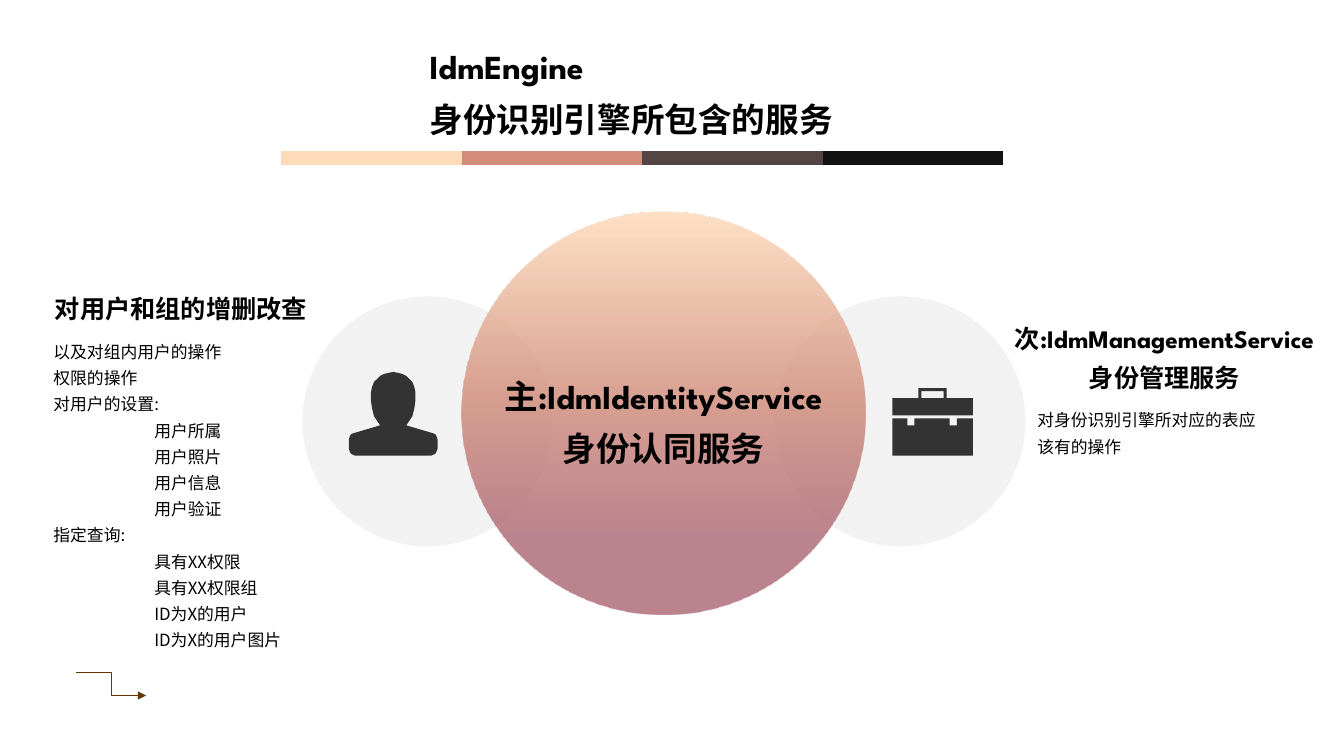
from dataclasses import dataclass
from typing import NamedTuple

from lxml.etree import SubElement
from pptx import Presentation
from pptx.dml.color import RGBColor
from pptx.enum.shapes import MSO_CONNECTOR, MSO_SHAPE
from pptx.enum.text import MSO_ANCHOR, MSO_AUTO_SIZE, PP_ALIGN
from pptx.oxml import parse_xml
from pptx.oxml.ns import nsdecls, qn
from pptx.util import Emu, Inches, Pt

PX = 9144  # 100 px to the inch
COLORS = {
    "text": "000000", "icon": "333333", "side": "F2F2F2", "arrow": "653607",
    "peach": "FDDAB8", "rose": "D28C79", "brown": "534544", "black": "121212",
    "plum": "AC6672",
}
HEADING_FONT = "League Spartan"
BODY_FONT = "Noto Sans CJK SC"


class Box(NamedTuple):
    left: int
    top: int
    width: int
    height: int

    def emu(self) -> list[Emu]:
        return [Emu(length * PX) for length in self]


@dataclass
class Caption:
    box: Box
    lines: list[str]
    size: int
    font: str = HEADING_FONT
    bold: bool = True
    align: PP_ALIGN = PP_ALIGN.CENTER
    wrap: bool = False


TITLE = Caption(Box(416, 29, 488, 110), ["IdmEngine", "身份识别引擎所包含的服务"], 24,
                align=PP_ALIGN.LEFT, wrap=True)
# Lines that start with "-" are indented items.
OPERATIONS = Caption(
    Box(43, 328, 279, 325),
    ["以及对组内用户的操作", "权限的操作", "对用户的设置:",
     "-用户所属", "-用户照片", "-用户信息", "-用户验证", "指定查询:",
     "-具有XX权限", "-具有XX权限组", "-ID为X的用户", "-ID为X的用户图片"],
    12, BODY_FONT, False, PP_ALIGN.LEFT, True)
CAPTIONS = [
    Caption(Box(474, 356, 368, 115), ["主:IdmIdentityService", "身份认同服务"], 24),
    Caption(Box(43, 277, 273, 49), ["对用户和组的增删改查"], 18),
    Caption(Box(1019, 396, 241, 63), ["对身份识别引擎所对应的表应该有的操作"], 12,
            BODY_FONT, False, PP_ALIGN.LEFT, True),
    Caption(Box(977, 307, 356, 89), ["次:IdmManagementService", "身份管理服务"], 18),
]
SIDE_CIRCLES = [Box(769, 294, 248, 248), Box(300, 294, 248, 248)]
MAIN_CIRCLE = Box(458, 210, 400, 400)
GRADIENT = [(0, "peach"), (45, "rose"), (80, "plum"), (100, "plum")]
BAR_LEFT, BAR_TOP, BAR_WIDTH = 279, 157, 179
BARS = ["peach", "rose", "brown", "black"]

# Right half of the user silhouette, as offsets from its axis.
USER_AXIS = 390
USER_HALF = [
    (0, 369), (5, 370), (9, 371), (13, 373), (16, 376), (19, 379), (21, 384), (22, 389),
    (22, 398), (21, 405), (19, 413), (15, 419), (13, 422), (40, 430), (42, 431),
    (43, 433), (44, 436), (44, 445), (43, 448), (42, 450), (40, 451), (38, 452),
]
CASE_LID = [
    [(939, 395), (939, 385), (911, 385), (911, 395), (885, 395), (885, 412),
     (965, 412), (965, 395)],
    [(936, 395), (914, 395), (914, 388), (936, 388)],
]
CASE_BODY = [
    [(949, 422), (942, 422), (942, 415), (907, 415), (907, 422), (900, 422),
     (900, 415), (885, 415), (885, 452), (965, 452), (965, 415), (949, 415)],
]


def rgb(color: str) -> RGBColor:
    return RGBColor.from_string(COLORS[color])


def paint(shape, color: str) -> None:
    shape.shadow.inherit = False
    shape.fill.solid()
    shape.fill.fore_color.rgb = rgb(color)
    shape.line.fill.background()


def write(shape, caption: Caption) -> None:
    shape.left, shape.top, shape.width, shape.height = caption.box.emu()
    frame = shape.text_frame
    frame.word_wrap = caption.wrap
    frame.auto_size = MSO_AUTO_SIZE.NONE
    frame.vertical_anchor = MSO_ANCHOR.TOP
    for index, line in enumerate(caption.lines):
        paragraph = frame.add_paragraph() if index else frame.paragraphs[0]
        paragraph.text = line.removeprefix("-")
        paragraph.alignment = caption.align
        paragraph.line_spacing = 1.3
        paragraph.space_before = Pt(0)
        font = paragraph.font
        font.name, font.size, font.bold = caption.font, Pt(caption.size), caption.bold
        font.color.rgb = rgb("text")


def indent_items(shape, lines: list[str]) -> None:
    for paragraph, line in zip(shape.text_frame.paragraphs, lines):
        properties = paragraph._p.get_or_add_pPr()
        properties.set("marL", str(Inches(1) if line.startswith("-") else 0))
        properties.set("indent", "0")
        bullet = SubElement(properties, qn("a:buNone"))
        properties.find(qn("a:defRPr")).addprevious(bullet)


def add_circle(shapes, box: Box, color: str):
    circle = shapes.add_shape(MSO_SHAPE.OVAL, *box.emu())
    paint(circle, color)
    return circle


def fill_gradient(shape) -> None:
    stops = "".join(
        f'<a:gs pos="{position * 1000}"><a:srgbClr val="{COLORS[color]}">'
        '<a:alpha val="80000"/></a:srgbClr></a:gs>'
        for position, color in GRADIENT)
    gradient = parse_xml(f'<a:gradFill {nsdecls("a")} rotWithShape="1"><a:gsLst>{stops}'
                         '</a:gsLst><a:lin ang="5400000" scaled="0"/></a:gradFill>')
    solid = shape._element.spPr.find(qn("a:solidFill"))
    solid.getparent().replace(solid, gradient)


def add_line(shapes, kind: MSO_CONNECTOR, ends: tuple[int, int, int, int],
             color: str, width: float):
    line = shapes.add_connector(kind, *(Emu(end * PX) for end in ends))
    line.line.color.rgb = rgb(color)
    line.line.width = Pt(width)
    SubElement(line._element.spPr, qn("a:effectLst"))
    return line


def add_outline(shapes, contours: list[list[tuple[int, int]]]) -> None:
    builder = shapes.build_freeform(*contours[0][0], scale=PX)
    builder.add_line_segments(contours[0][1:], close=True)
    for contour in contours[1:]:
        builder.move_to(*contour[0])
        builder.add_line_segments(contour[1:], close=True)
    paint(builder.convert_to_shape(), "icon")


def main() -> None:
    presentation = Presentation()
    presentation.slide_width, presentation.slide_height = Inches(13.33), Inches(7.5)
    slide = presentation.slides.add_slide(presentation.slide_layouts[1])
    shapes = slide.shapes

    write(shapes.title, TITLE)
    operations = slide.placeholders[1]
    write(operations, OPERATIONS)
    indent_items(operations, OPERATIONS.lines)

    for box in SIDE_CIRCLES:
        add_circle(shapes, box, "side")
    for index, color in enumerate(BARS):
        left = BAR_LEFT + index * BAR_WIDTH
        add_line(shapes, MSO_CONNECTOR.STRAIGHT,
                 (left, BAR_TOP, left + BAR_WIDTH, BAR_TOP), color, 10)
    fill_gradient(add_circle(shapes, MAIN_CIRCLE, "rose"))

    right = [(USER_AXIS + x, y) for x, y in USER_HALF]
    left = [(USER_AXIS - x, y) for x, y in reversed(USER_HALF[1:])]
    add_outline(shapes, [right + left])
    briefcase = shapes.add_group_shape()
    for contours in (CASE_LID, CASE_BODY):
        add_outline(briefcase.shapes, contours)

    for caption in CAPTIONS:
        write(shapes.add_textbox(*caption.box.emu()), caption)

    arrow = add_line(shapes, MSO_CONNECTOR.ELBOW, (75, 667, 145, 690), "arrow", 0.5)
    SubElement(arrow.line._get_or_add_ln(), qn("a:tailEnd"), type="triangle")
    presentation.save("out.pptx")


if __name__ == "__main__":
    main()
